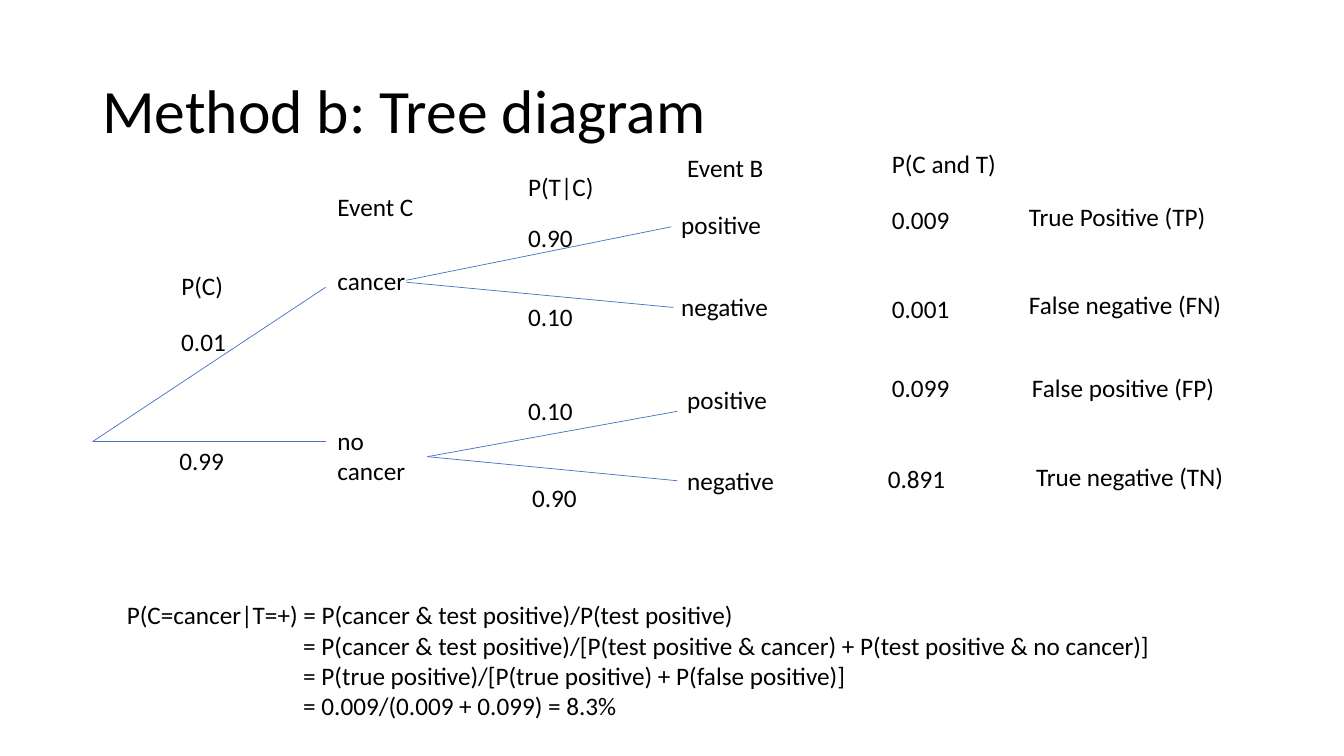
from typing import NamedTuple

from lxml import etree
from pptx import Presentation
from pptx.dml.color import RGBColor
from pptx.enum.shapes import MSO_CONNECTOR
from pptx.enum.text import MSO_ANCHOR, MSO_AUTO_SIZE
from pptx.oxml.ns import qn
from pptx.util import Pt

STRAIGHT = MSO_CONNECTOR.STRAIGHT
MIDDLE, TOP = MSO_ANCHOR.MIDDLE, MSO_ANCHOR.TOP
FIT_SHAPE, NO_FIT = MSO_AUTO_SIZE.SHAPE_TO_FIT_TEXT, MSO_AUTO_SIZE.NONE

COLORS = {"text": "000000", "branch": "4472C4"}
FONT = "Calibri"
BODY_SIZE = 18
LABEL_WIDTH, LABEL_HEIGHT = 206.6, 29.1
EQUALS_INDENT = 126


class Label(NamedTuple):
    text: str
    left: float
    top: float
    width: float = LABEL_WIDTH
    height: float = LABEL_HEIGHT


class Branch(NamedTuple):
    x1: float
    y1: float
    x2: float
    y2: float


TITLE = Label("Method b: Tree diagram", 66, 28.8, 828, 104.4)

BRANCHES = [
    Branch(66.2, 315.4, 232.6, 205.2),
    Branch(66.2, 315.4, 232.6, 315.4),
    Branch(290.2, 200.2, 479.5, 162),
    Branch(290.2, 201.6, 481, 219.6),
    Branch(305.3, 326.2, 483.8, 293.8),
    Branch(305.3, 326.2, 483.8, 343.4),
]

LABELS = [
    # Prior probabilities
    Label("P(C)", 122.4, 189.4, 97.2),
    Label("0.01", 122.4, 229.7),
    Label("0.99", 121, 314.6),
    # Event C
    Label("Event C", 234, 133.2),
    Label("cancer", 234, 185.8),
    Label("no\ncancer", 234, 300.2, height=51),
    # Test probabilities
    Label("P(T|C)", 370.1, 118.8),
    Label("0.90", 370.1, 155.5),
    Label("0.10", 370.1, 211.7),
    Label("0.10", 370.1, 278.6),
    Label("0.90", 373, 341.3),
    # Event B
    Label("Event B", 483.8, 105.1),
    Label("positive", 479.5, 146.2),
    Label("negative", 479.5, 204.5),
    Label("positive", 483.8, 270.7),
    Label("negative", 483.8, 329),
    # Joint probabilities
    Label("P(C and T)", 630, 102.2),
    Label("0.009", 630, 142.6),
    Label("0.001", 630, 205.9),
    Label("0.099", 630, 262.1),
    Label("0.891", 627.1, 327.6),
    # Outcomes
    Label("True Positive (TP)", 727.9, 140.4),
    Label("False negative (FN)", 727.9, 203),
    Label("False positive (FP)", 730.1, 262.1),
    Label("True negative (TN)", 733, 326.2),
]

DERIVATION = Label(
    "P(C=cancer|T=+) = P(cancer & test positive)/P(test positive)\n"
    "= P(cancer & test positive)/[P(test positive & cancer) + P(test positive & no cancer)]\n"
    "= P(true positive)/[P(true positive) + P(false positive)]\n"
    "= 0.009/(0.009 + 0.099) = 8.3%",
    83.5, 424.8, 851, 94.3,
)


def add_label(slide, label: Label, size: float = BODY_SIZE,
              anchor=TOP, auto_size=FIT_SHAPE):
    box = slide.shapes.add_textbox(
        Pt(label.left), Pt(label.top), Pt(label.width), Pt(label.height))
    frame = box.text_frame
    frame.text = label.text
    frame.word_wrap = True
    frame.auto_size = auto_size
    frame.vertical_anchor = anchor
    for paragraph in frame.paragraphs:
        for run in paragraph.runs:
            run.font.name = FONT
            run.font.size = Pt(size)
            run.font.color.rgb = RGBColor.from_string(COLORS["text"])
    return frame


def add_branch(slide, branch: Branch) -> None:
    line = slide.shapes.add_connector(STRAIGHT, *(Pt(length) for length in branch))
    line.line.color.rgb = RGBColor.from_string(COLORS["branch"])
    line.line.width = Pt(0.5)
    etree.SubElement(line._element.spPr, qn("a:effectLst"))


def add_derivation(slide) -> None:
    """Add the formula, its later lines indented to the first equals sign."""
    frame = add_label(slide, DERIVATION)
    for paragraph in frame.paragraphs[1:]:
        properties = paragraph._p.get_or_add_pPr()
        properties.set("marL", str(Pt(EQUALS_INDENT)))
        properties.set("indent", "0")


def main() -> None:
    presentation = Presentation()
    presentation.slide_width, presentation.slide_height = Pt(960), Pt(540)
    slide = presentation.slides.add_slide(presentation.slide_layouts[6])

    title = add_label(slide, TITLE, 44, MIDDLE, NO_FIT)
    title.paragraphs[0].line_spacing = 0.9
    for branch in BRANCHES:
        add_branch(slide, branch)
    for label in LABELS:
        add_label(slide, label)
    add_derivation(slide)
    presentation.save("out.pptx")


if __name__ == "__main__":
    main()
